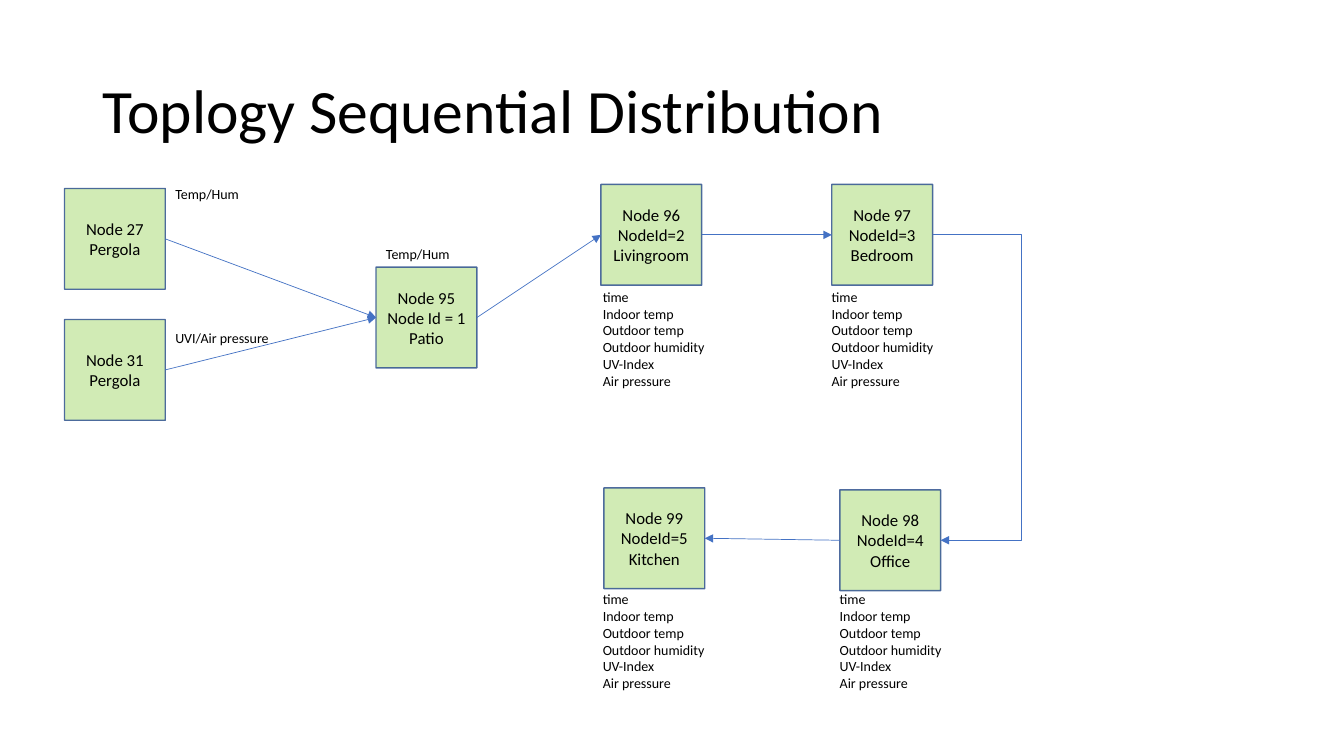
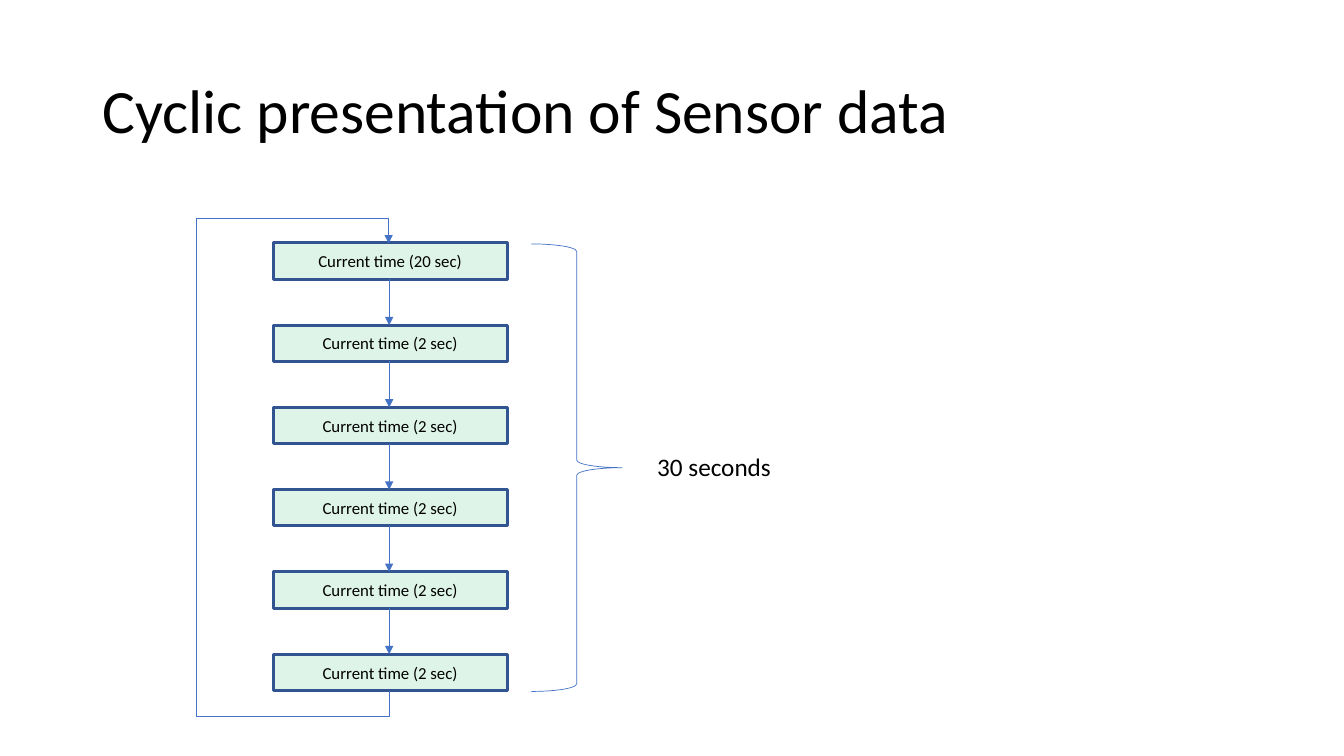
from lxml.etree import SubElement
from pptx import Presentation
from pptx.dml.color import RGBColor
from pptx.enum.shapes import MSO_CONNECTOR, MSO_SHAPE
from pptx.enum.text import MSO_ANCHOR, MSO_AUTO_SIZE, PP_ALIGN
from pptx.oxml.ns import qn
from pptx.util import Inches, Pt

BLACK = RGBColor(0x00, 0x00, 0x00)
LIME = RGBColor(0x92, 0xD0, 0x50)
GREEN = RGBColor(0x00, 0xB0, 0x50)
NAVY = RGBColor(0x32, 0x54, 0x91)
BLUE = RGBColor(0x44, 0x72, 0xC4)
FONT = "Calibri"
THIN = Pt(0.5)


def put(slide, text, x, y, w, h, size, fill=None, alpha=100, edge=1, clear=100):
    """Add text, in a tinted box with an edge when a fill is given."""
    area = [Inches(v) for v in (x, y, w, h)]
    if fill is None:
        shape = slide.shapes.add_textbox(*area)
    else:
        shape = slide.shapes.add_shape(MSO_SHAPE.RECTANGLE, *area)
        shape.shadow.inherit = False
        shape.fill.solid()
        shape.fill.fore_color.rgb = fill
        shape.line.color.rgb = NAVY
        shape.line.width = Pt(edge)
        for tint, share in zip(shape._element.spPr.iter(qn("a:srgbClr")), (alpha, clear)):
            SubElement(tint, qn("a:alpha"), val=str(share * 1000))
    frame = shape.text_frame
    frame.text = text
    frame.word_wrap = fill is not None
    if fill is not None:
        frame.vertical_anchor = MSO_ANCHOR.MIDDLE
    else:
        frame.auto_size = MSO_AUTO_SIZE.SHAPE_TO_FIT_TEXT
    for par in frame.paragraphs:
        par.font.name, par.font.size = FONT, Pt(size)
        par.font.color.rgb = BLACK
        par.alignment = PP_ALIGN.LEFT if fill is None else PP_ALIGN.CENTER
    return shape


def link(slide, start, end, bends=(), turn=0):
    """Draw an arrow; bends are the shares at which an elbow line turns."""
    kind = MSO_CONNECTOR.ELBOW if bends else MSO_CONNECTOR.STRAIGHT
    line = slide.shapes.add_connector(kind, *[Inches(v) for v in (*start, *end)])
    line.line.color.rgb = BLUE
    line.line.width = THIN
    props = line._element.spPr
    SubElement(props.find(qn("a:ln")), qn("a:tailEnd"), type="triangle")
    SubElement(props, qn("a:effectLst"))
    if bends:
        form = props.find(qn("a:prstGeom"))
        form.set("prst", f"bentConnector{len(bends) + 2}")
        guides = form.get_or_add_avLst()
        for i, bend in enumerate(bends, 1):
            SubElement(guides, qn("a:gd"), name=f"adj{i}", fmla=f"val {round(bend * 100000)}")
        props.find(qn("a:xfrm")).set("rot", str(turn * 60000))


deck = Presentation()
deck.slide_width, deck.slide_height = Inches(13.33), Inches(7.5)
pages = []
for title in ("Toplogy Sequential Distribution", "Cyclic presentation of Sensor data"):
    page = deck.slides.add_slide(deck.slide_layouts[6])
    head = put(page, title, 0.92, 0.4, 11.5, 1.45, 44).text_frame
    head.word_wrap = True
    head.auto_size = MSO_AUTO_SIZE.NONE
    head.vertical_anchor = MSO_ANCHOR.MIDDLE
    head.paragraphs[0].line_spacing = 0.9
    pages.append(page)
map_page, cycle = pages

# Sensor nodes: id -> text, left, top
SIDE = 1
nodes = {
    27: ("Pergola", 0.64, 1.87),
    31: ("Pergola", 0.64, 3.17),
    95: ("Node Id = 1\nPatio", 3.73, 2.65),
    96: ("NodeId=2\nLivingroom", 5.96, 1.83),
    97: ("NodeId=3\nBedroom", 8.25, 1.83),
    98: ("NodeId=4\nOffice", 8.33, 4.86),
    99: ("NodeId=5\nKitchen", 5.99, 4.84),
}
west, east = {}, {}
for key, (text, x, y) in nodes.items():
    put(map_page, f"Node {key}\n{text}", x, y, SIDE, SIDE, 12, LIME, 42, 1, 86)
    west[key] = (x, y + SIDE / 2)
    east[key] = (x + SIDE, y + SIDE / 2)

for a, b in ((27, 95), (31, 95), (95, 96), (96, 97)):
    link(map_page, east[a], west[b])
link(map_page, west[98], east[99])
link(map_page, east[97], east[98], [11])

for text, x, y, w in (
    ("Temp/Hum", 1.64, 1.79, 0.85),
    ("UVI/Air pressure", 1.64, 3.22, 1.15),
    ("Temp/Hum", 3.73, 2.39, 0.85),
):
    put(map_page, text, x, y, w, 0.27, 10)

data = "time\nIndoor temp\nOutdoor temp\nOutdoor humidity\nUV-Index\nAir pressure"
for x, y in ((5.88, 2.81), (8.15, 2.81), (8.23, 5.81), (5.88, 5.81)):
    put(map_page, data, x, y, 1.22, 1.11, 10)

# Display steps, evenly spaced
LEFT, TOP, WIDE, TALL, STEP, COUNT = 2.71, 2.41, 2.32, 0.36, 0.816, 6
MID = 3.86
for i in range(COUNT):
    y = TOP + i * STEP
    time = 2 if i else 20
    put(cycle, f"Current time ({time} sec)", LEFT, y, WIDE, TALL, 12, GREEN, 13, 2)
    if i:
        link(cycle, (MID, y - STEP + TALL), (MID, y))

# The return path is an elbow line turned a quarter round its centre
SPAN, GAP, SHIFT = 4.44, 0.25, 0.01
core = TOP + SPAN / 2
link(cycle, (MID + SPAN / 2, core), (MID - SPAN / 2, core + SHIFT),
     [-GAP / SPAN, 1.95 / SHIFT, 1 + GAP / SPAN], 90)

brace = cycle.shapes.add_shape(
    MSO_SHAPE.RIGHT_BRACE, Inches(5.27), Inches(2.42), Inches(0.9), Inches(SPAN))
brace.shadow.inherit = False
brace.fill.background()
brace.line.color.rgb = BLUE
brace.line.width = THIN
put(cycle, "30 seconds", 6.42, 4.43, 1.34, 0.4, 18)

deck.save("out.pptx")
